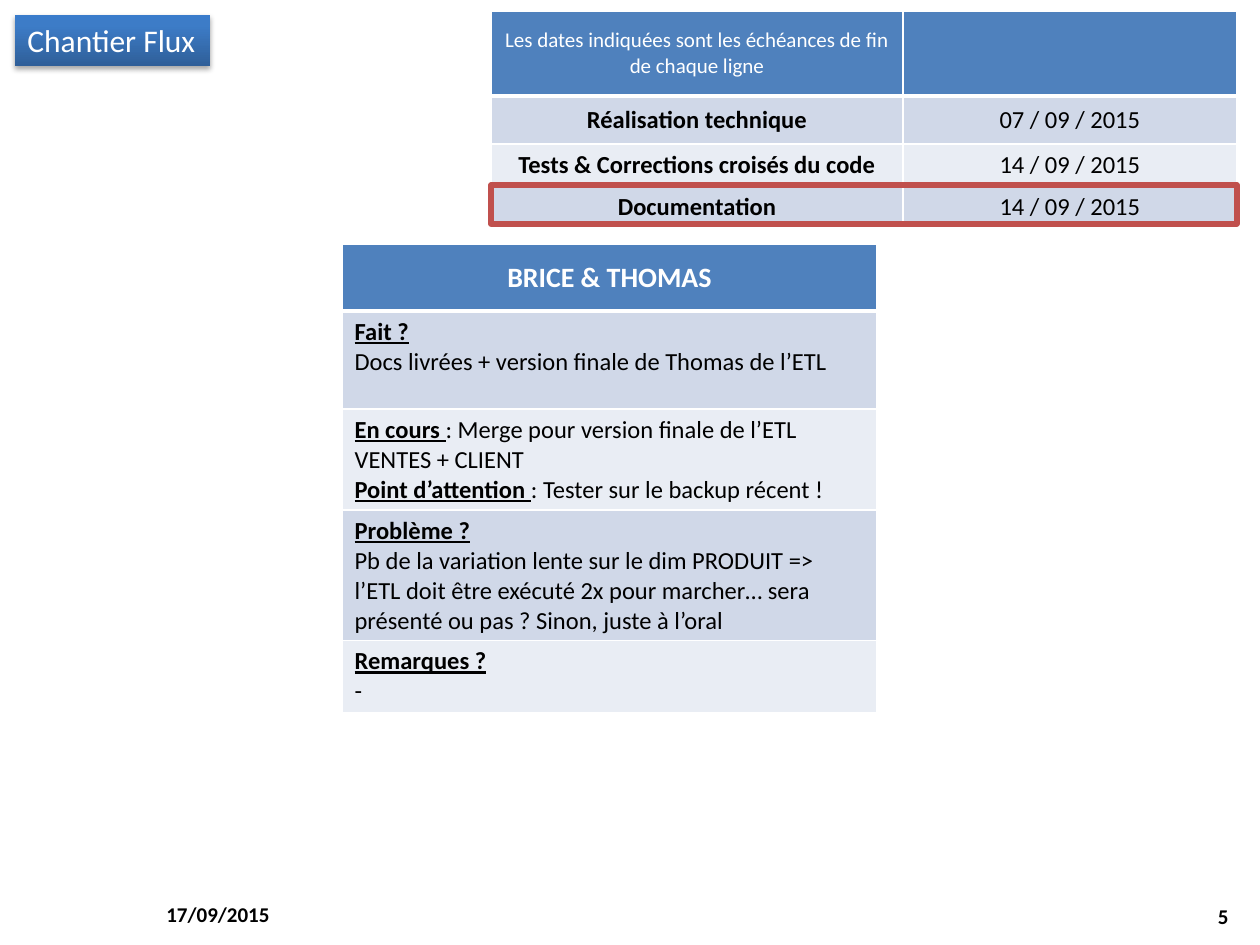
from pptx import Presentation
from pptx import util as u
from pptx.dml.color import RGBColor
from pptx.enum import shapes, text
from pptx.oxml import parse_xml
from pptx.oxml.ns import nsdecls

WHITE = RGBColor(0xFF, 0xFF, 0xFF)
BLACK = RGBColor(0, 0, 0)
BLUE = RGBColor(0x4F, 0x81, 0xBD)
BANDS = [RGBColor(0xE9, 0xED, 0xF4), RGBColor(0xD0, 0xD8, 0xE8)]
RED = RGBColor(0xC0, 0x50, 0x4D)
LEFT, CENTER, RIGHT = text.PP_ALIGN.LEFT, text.PP_ALIGN.CENTER, text.PP_ALIGN.RIGHT
MIDDLE, TOP = text.MSO_ANCHOR.MIDDLE, text.MSO_ANCHOR.TOP
SCALE = 914400 / 126  # EMU per px


def write(tf, paragraphs, align, **font):
    """Each paragraph is a list of (text, format) runs."""
    for i, runs in enumerate(paragraphs):
        p = tf.paragraphs[0] if i == 0 else tf.add_paragraph()
        p.alignment = align
        for words, extra in runs:
            r = p.add_run()
            r.text = words
            r.font.color.rgb = font["color"]
            formats = {"name": "Calibri", "size": u.Pt(font["size"]), **extra}
            for key, value in formats.items():
                setattr(r.font, key, value)


def add_grid(box, cols, rows, cells, align, anchor, header):
    frame = s.shapes.add_table(len(rows), len(cols), *[round(v * SCALE) for v in box])
    table = frame.table
    table.horz_banding = False
    for col, w in zip(table.columns, cols):
        col.width = round(w * SCALE)
    for i, (row, h) in enumerate(zip(table.rows, rows)):
        row.height = round(h * SCALE)
        for cell, content in zip(row.cells, cells[i]):
            cell.fill.solid()
            cell.fill.fore_color.rgb = BANDS[i % 2] if i else BLUE
            cell.vertical_anchor = anchor if i else MIDDLE
            font = {"size": 14, "color": BLACK} if i else {"size": header, "color": WHITE}
            write(cell.text_frame, content, align if i else CENTER, **font)
            # White borders, thick under the header and above the first row
            tc_pr = cell._tc.get_or_add_tcPr()
            for n, side in enumerate("LRTB"):
                thick = (i, side) in [(0, "B"), (1, "T")]
                tc_pr.insert(n, parse_xml(
                    f'<a:ln{side} {nsdecls("a")} w="{u.Pt(3 if thick else 1)}"><a:solidFill>'
                    f'<a:srgbClr val="{WHITE}"/></a:solidFill></a:ln{side}>'))


prs = Presentation()
prs.slide_width, prs.slide_height = u.Inches(10), u.Inches(7.5)
s = prs.slides.add_slide(prs.slide_layouts[6])
bold = {"bold": True}
plain = {"bold": False}
label = {"bold": True, "underline": True}

# Footer: date and slide number
for x, y, words, align in [(154, 889, "17/09/2015", LEFT), (947, 891, "5", RIGHT)]:
    sp = s.shapes.add_textbox(*[round(v * SCALE) for v in (x, y, 294, 50)])
    tf = sp.text_frame
    tf.word_wrap = True
    tf.vertical_anchor = MIDDLE
    write(tf, [[(words, bold)]], align, size=12, color=BLACK)

# Title badge with gradient and soft shadow
sp = s.shapes.add_shape(shapes.MSO_SHAPE.RECTANGLE,
                        *[round(v * SCALE) for v in (15, 15, 195, 51)])
sp.line.fill.background()
stops = "".join(f'<a:gs pos="{pos}000"><a:srgbClr val="{c}"/></a:gs>'
                for pos, c in [(0, "2F5F99"), (80, "3D7CC7"), (100, "3A7CCB")])
sp_pr = sp._element.spPr
sp_pr.insert(2, parse_xml(
    f'<a:gradFill {nsdecls("a")} rotWithShape="1"><a:gsLst>{stops}</a:gsLst>'
    '<a:lin ang="16200000" scaled="0"/></a:gradFill>'))
sp_pr.append(parse_xml(
    f'<a:effectLst {nsdecls("a")}><a:outerShdw blurRad="{u.Pt(3.1)}" dist="{u.Pt(1.8)}" '
    'dir="5400000" rotWithShape="0"><a:srgbClr val="000000"><a:alpha val="35000"/>'
    '</a:srgbClr></a:outerShdw></a:effectLst>'))
tf = sp.text_frame
tf.word_wrap = False
tf.vertical_anchor = TOP
write(tf, [[("Chantier Flux", plain)]], LEFT, size=18, color=WHITE)

# Progress table
progress = [
    [[("BRICE & THOMAS", bold)]],
    [[("Fait ?", label)],
     [("Docs livrées + version finale de Thomas de l’ETL", plain)]],
    [[("En cours ", label), (": Merge pour version finale de l’ETL VENTES + CLIENT", plain)],
     [("Point d’attention ", label), (": Tester sur le backup récent !", plain)]],
    [[("Problème ?", label)],
     [("Pb de la variation lente sur le dim PRODUIT => l’ETL doit être exécuté 2x "
       "pour marcher… sera présenté ou pas ? Sinon, juste à l’oral", plain)]],
    [[("Remarques ?", label)], [("-", plain)]],
]
add_grid((342, 244, 535, 469), [535], [67, 98, 101, 130, 73],
         [[content] for content in progress], LEFT, TOP, 16)

# Deadline table
deadlines = [
    ("Réalisation technique", "07 / 09 / 2015"),
    ("Tests & Corrections croisés du code", "14 / 09 / 2015"),
    ("Documentation", "14 / 09 / 2015"),
]
cells = [[[[("Les dates indiquées sont les échéances de fin de chaque ligne", plain)]], []]]
cells += [[[[(task, bold)]], [[(date, plain)]]] for task, date in deadlines]
add_grid((491, 11, 746, 217), [412, 334], [85, 48, 42, 42], cells, CENTER, MIDDLE, 12)

# Frame around the current deadline
sp = s.shapes.add_shape(shapes.MSO_SHAPE.RECTANGLE,
                        *[round(v * SCALE) for v in (491, 185, 746, 39)])
sp.shadow.inherit = False
sp.fill.background()
sp.line.color.rgb = RED
sp.line.width = u.Pt(3)

prs.save("out.pptx")
